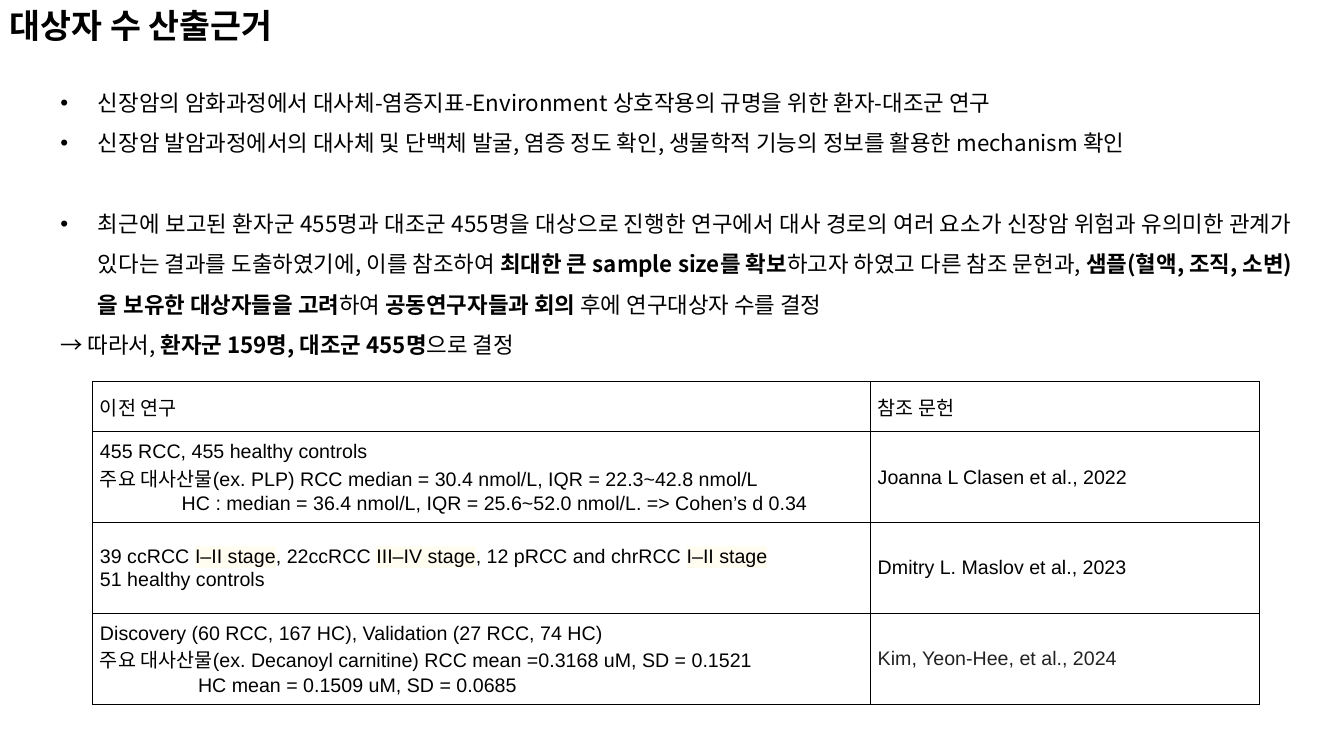
import pptx
import pptx.util
import pptx.dml.color
import pptx.enum.text
import pptx.oxml.ns
from lxml import etree
from pptx.util import Cm, Pt

COLORS = {"text": "000000", "citation": "222222", "highlight": "FFFCF0", "border": "000000"}
KOREAN_FONT = "Noto Sans CJK KR"
TABLE_FONT = "Arial"
JUSTIFY = pptx.enum.text.PP_ALIGN.JUSTIFY

BULLETS = [
    (["신장암의 암화과정에서 대사체-염증지표-Environment 상호작용의 규명을 위한 환자-대조군 연구"], 0),
    (["신장암 발암과정에서의 대사체 및 단백체 발굴, 염증 정도 확인, "
      "생물학적 기능의 정보를 활용한 mechanism 확인"], 29),
    (["최근에 보고된 환자군 455명과 대조군 455명을 대상으로 진행한 연구에서 대사 경로의 여러 요소가 "
      "신장암 위험과 유의미한 관계가 있다는 결과를 도출하였기에, 이를 참조하여",
      " 최대한 큰 sample size를 확보", "하고자 하였고 다른 참조 문헌과, ",
      "샘플(혈액, 조직, 소변)을 보유한 대상자들을 고려", "하여 ",
      "공동연구자들과 회의", " 후에 연구대상자 수를 결정 "], 0),
]
CONCLUSION = ["→ 따라서, ", "환자군 159명, 대조군 455명", "으로 결정"]

HEADERS = ["이전 연구", "참조 문헌"]
STUDIES = [
    ([["455 RCC, 455 healthy controls"],
      ["주요 대사산물(ex. PLP) RCC median = 30.4 nmol/L, IQR = 22.3~42.8 nmol/L"],
      ["HC : median = 36.4 nmol/L, IQR = 25.6~52.0 nmol/L. => Cohen’s d 0.34"]],
     2.06, "Joanna L Clasen et al., 2022", "text"),
    ([["39 ccRCC ", "I–II stage", ", 22ccRCC ", "III–IV stage",
       ", 12 pRCC and chrRCC ", "I–II stage"],
      ["51 healthy controls"]],
     0, "Dmitry L. Maslov et al., 2023", "text"),
    ([["Discovery (60 RCC, 167 HC), Validation (27 RCC, 74 HC)"],
      ["주요 대사산물(ex. Decanoyl carnitine) RCC mean =0.3168 uM, SD = 0.1521"],
      ["HC mean = 0.1509 uM, SD = 0.0685"]],
     2.47, "Kim, Yeon-Hee, et al., 2024", "citation"),
]


def add_element(parent, tag, **attributes):
    return etree.SubElement(parent, pptx.oxml.ns.qn(tag), attributes)


def set_font(paragraph, name, size, color="text", bold=None):
    font = paragraph.font
    font.size = Pt(size)
    font.bold = bold
    font.color.rgb = pptx.dml.color.RGBColor.from_string(COLORS[color])
    font.name = name
    add_element(font._element, "a:ea", typeface=KOREAN_FONT)


def make_bold(run):
    run.font.bold = True


def make_highlighted(run):
    highlight = add_element(run._r.get_or_add_rPr(), "a:highlight")
    add_element(highlight, "a:srgbClr", val=COLORS["highlight"])


def add_runs(paragraph, texts, emphasize):
    for index, text in enumerate(texts):
        run = paragraph.add_run()
        run.text = text
        if index % 2:
            emphasize(run)


def next_paragraph(text_frame, index):
    return text_frame.add_paragraph() if index else text_frame.paragraphs[0]


def set_indent(paragraph, left, first=0):
    properties = paragraph._p.get_or_add_pPr()
    properties.set("marL", str(Cm(left)))
    properties.set("indent", str(Cm(first)))
    return properties


def add_text_box(slide, left, top, width, height, wrap):
    text_frame = slide.shapes.add_textbox(Cm(left), Cm(top), Cm(width), Cm(height)).text_frame
    text_frame.word_wrap = wrap
    text_frame.auto_size = pptx.enum.text.MSO_AUTO_SIZE.SHAPE_TO_FIT_TEXT
    return text_frame


def add_title(slide):
    paragraph = add_text_box(slide, 0, 0, 8.26, 1.27, False).paragraphs[0]
    paragraph.text = "대상자 수 산출근거"
    set_font(paragraph, KOREAN_FONT, 24, bold=True)


def add_rationale(slide):
    text_frame = add_text_box(slide, 0, 1.78, 32.82, 7.32, True)
    for index, (texts, space_after) in enumerate(BULLETS + [(CONCLUSION, 0)]):
        paragraph = next_paragraph(text_frame, index)
        paragraph.level = 1
        paragraph.alignment = JUSTIFY
        paragraph.line_spacing = 1.5
        paragraph.space_after = Pt(space_after)
        if index < len(BULLETS):
            properties = set_indent(paragraph, 2.22, -0.95)
            add_element(properties, "a:buFont", typeface=TABLE_FONT)
            add_element(properties, "a:buChar", char="•")
        else:
            set_indent(paragraph, 1.27)
        set_font(paragraph, KOREAN_FONT, 16)
        add_runs(paragraph, texts, make_bold)


def style_cell(cell):
    cell.vertical_anchor = pptx.enum.text.MSO_ANCHOR.MIDDLE
    cell.margin_left = cell.margin_right = Cm(0.18)
    cell.margin_top = cell.margin_bottom = Cm(0.05)
    properties = cell._tc.get_or_add_tcPr()
    for side in "LRTB":
        line = add_element(properties, f"a:ln{side}", w=str(Pt(1)))
        add_element(add_element(line, "a:solidFill"), "a:srgbClr", val=COLORS["border"])
    cell.fill.background()


def fill_cell(cell, lines, last_indent=0, color="text", line_spacing=1.03, space_after=0):
    style_cell(cell)
    for index, texts in enumerate(lines):
        paragraph = next_paragraph(cell.text_frame, index)
        paragraph.alignment = JUSTIFY
        paragraph.line_spacing = line_spacing
        paragraph.space_after = Pt(space_after)
        if last_indent and index == len(lines) - 1:
            set_indent(paragraph, last_indent)
        set_font(paragraph, TABLE_FONT, 14, color)
        add_runs(paragraph, texts, make_highlighted)


def add_study_table(slide):
    frame = slide.shapes.add_table(len(STUDIES) + 1, 2, Cm(2.34), Cm(9.62), Cm(29.4), Cm(8.13))
    table = frame.table
    table.horz_banding = False
    table.first_row = False
    for column, width in zip(table.columns, (19.6, 9.8)):
        column.width = Cm(width)
    for index, row in enumerate(table.rows):
        row.height = Cm(2.29 if index else 1.26)
    for index, header in enumerate(HEADERS):
        fill_cell(table.cell(0, index), [[header]])
    for index, (lines, last_indent, reference, color) in enumerate(STUDIES, 1):
        fill_cell(table.cell(index, 0), lines, last_indent)
        fill_cell(table.cell(index, 1), [[reference]], color=color, line_spacing=1.0, space_after=8)


def main():
    presentation = pptx.Presentation()
    presentation.slide_width = Cm(33.87)
    presentation.slide_height = Cm(19.05)
    slide = presentation.slides.add_slide(presentation.slide_layouts[6])
    add_title(slide)
    add_rationale(slide)
    add_study_table(slide)
    presentation.save("out.pptx")


if __name__ == "__main__":
    main()
